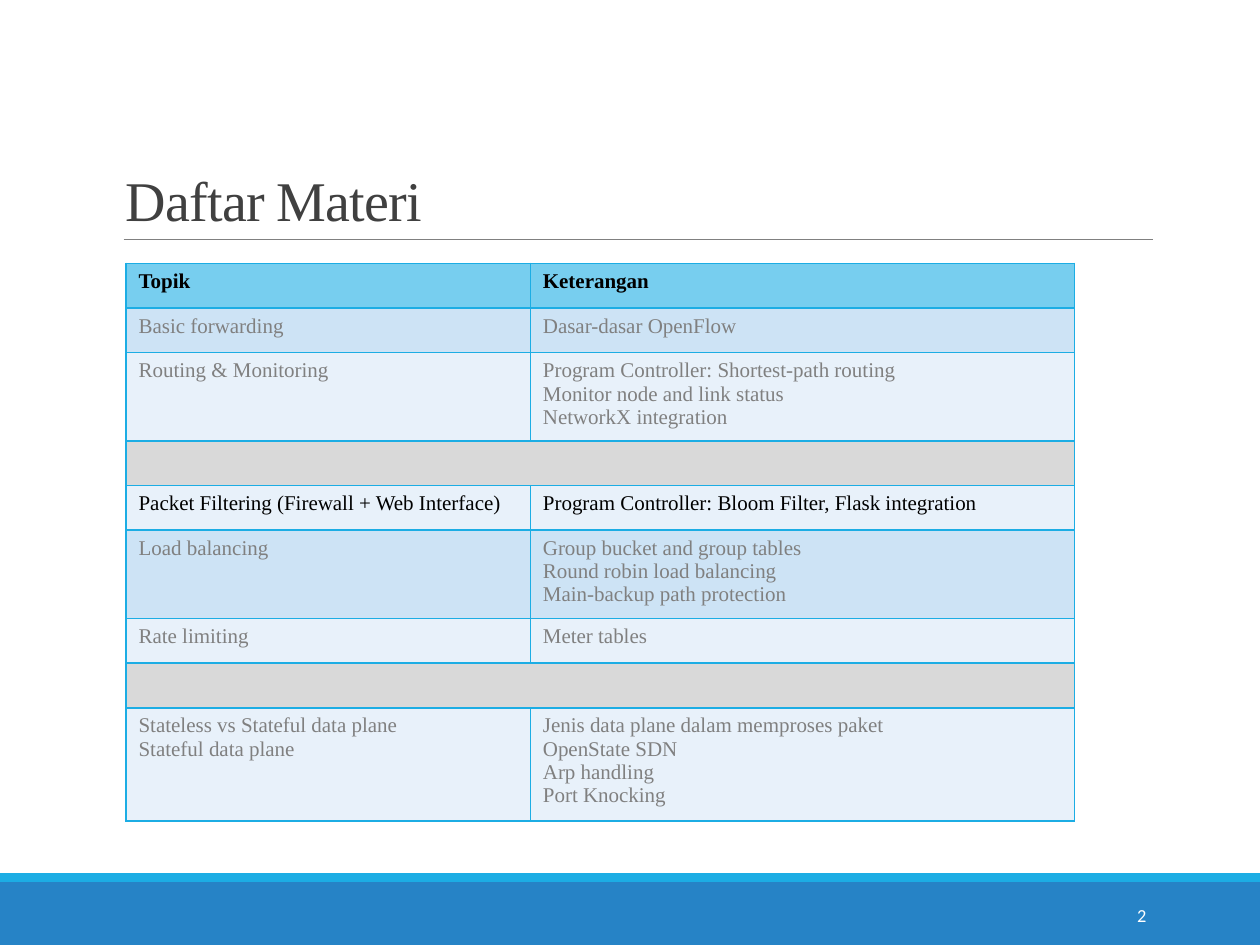
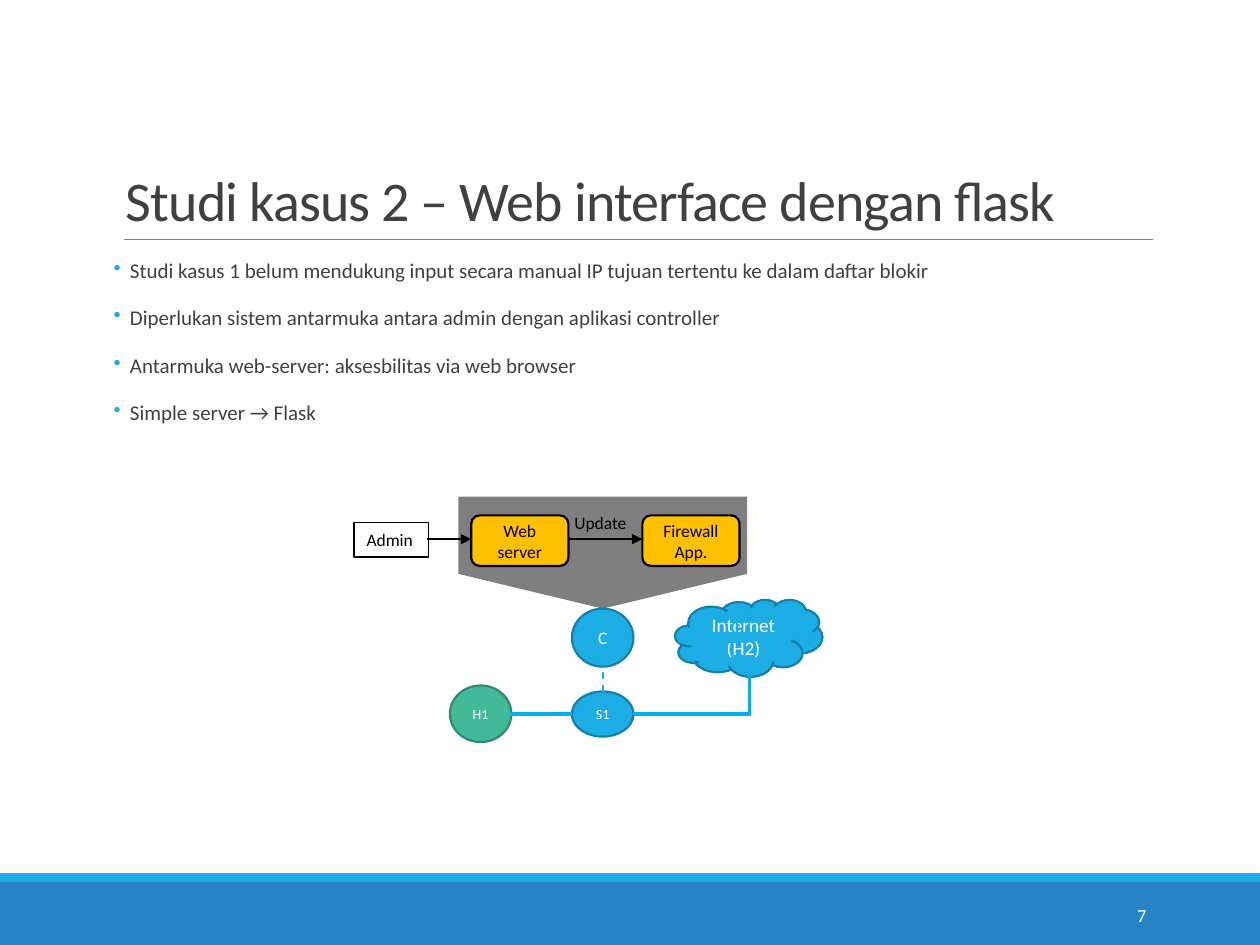
from lxml.etree import SubElement
from pptx import Presentation
from pptx.dml.color import RGBColor
from pptx.enum.dml import MSO_LINE as Dash
from pptx.enum.shapes import MSO_CONNECTOR as Link, MSO_SHAPE as Shape
from pptx.enum.text import MSO_ANCHOR as Anchor, PP_ALIGN as Align
from pptx.oxml.ns import qn
from pptx.util import Cm, Pt

COLORS = {
    "white": "FFFFFF", "black": "000000", "ink": "404040", "gray": "808080",
    "blue": "2683C6", "cyan": "1CADE4", "cyan_edge": "1580A9", "link": "00B0F0",
    "green": "42BA97", "green_edge": "318A70", "amber": "FFC000",
    "header": "77CEEF", "band": "CDE3F5", "pale": "E8F1FA", "gap": "D9D9D9",
}
SANS, SERIF = "Calibri", "Times New Roman"

TOPICS_TITLE = "Daftar Materi"
TOPICS = [
    (["Topik"], ["Keterangan"]),
    (["Basic forwarding"], ["Dasar-dasar OpenFlow"]),
    (["Routing & Monitoring"],
     ["Program Controller: Shortest-path routing", "Monitor node and link status",
      "NetworkX integration"]),
    None,
    (["Packet Filtering (Firewall + Web Interface)"],
     ["Program Controller: Bloom Filter, Flask integration"]),
    (["Load balancing"],
     ["Group bucket and group tables", "Round robin load balancing",
      "Main-backup path protection"]),
    (["Rate limiting"], ["Meter tables"]),
    None,
    (["Stateless vs Stateful data plane", "Stateful data plane"],
     ["Jenis data plane dalam memproses paket", "OpenState SDN", "Arp handling",
      "Port Knocking"]),
]
CURRENT_TOPIC = 4
COLUMN_WIDTHS, ROW_HEIGHT = (8.15, 10.97), 0.9

CASE_TITLE = "Studi kasus 2 – Web interface dengan flask"
CASE_POINTS = [
    "Studi kasus 1 belum mendukung input secara manual IP tujuan tertentu ke dalam daftar blokir",
    "Diperlukan sistem antarmuka antara admin dengan aplikasi controller",
    "Antarmuka web-server: aksesbilitas via web browser",
    "Simple server → Flask",
]
NETWORK_NODES = [
    (["H1"], Shape.OVAL, (9.07, 13.82, 1.24, 1.14), "green", 8),
    (["C"], Shape.OVAL, (11.53, 12.27, 1.24, 1.17), "cyan", 10),
    (["S1"], Shape.OVAL, (11.53, 13.94, 1.24, 0.91), "cyan", 8),
    (["Internet", "(H2)"], Shape.CLOUD, (13.61, 12.09, 2.97, 1.55), "cyan", 11),
]
APPS = [("Web server", 9.5), ("Firewall App.", 12.95)]
LINKS = [
    ((11.53, 14.4, 10.29, 14.4), dict(color="link", width=2.25)),
    ((12.15, 13.94, 12.15, 13.44), dict(color="cyan", dash=True)),
    ((12.77, 14.4, 15.11, 13.61), dict(color="link", width=2.25, bent=True)),
    ((13.67, 12.95, 14.86, 12.42), dict(color="cyan", bent=True)),
    ((8.61, 10.87, 9.5, 10.87), dict(arrow=True)),
    ((11.46, 10.87, 12.95, 10.87), dict(arrow=True)),
]


def rgb(name):
    return RGBColor.from_string(COLORS[name])


def write_text(frame, lines, *, size=12, font=SANS, color="black", bold=False,
               align=Align.LEFT, anchor=Anchor.TOP, wrap=True, spacing=None,
               before=None, after=None, tracking=None, bullet=None, indent=0.33):
    frame.word_wrap = wrap
    frame.vertical_anchor = anchor
    for index, line in enumerate(lines):
        para = frame.add_paragraph() if index else frame.paragraphs[0]
        para.alignment = align
        if spacing:
            para.line_spacing = spacing
        if before is not None:
            para.space_before, para.space_after = Pt(before), Pt(after)
        if bullet:
            properties = para._p.get_or_add_pPr()
            properties.set("marL", str(Cm(indent)))
            properties.set("indent", str(-Cm(indent)))
            tint = SubElement(properties, qn("a:buClr"))
            SubElement(tint, qn("a:srgbClr"), val=COLORS[bullet])
            SubElement(properties, qn("a:buChar"), char="•")
        span = para.add_run()
        span.text = line
        span.font.size, span.font.name, span.font.bold = Pt(size), font, bold
        span.font.color.rgb = rgb(color)
        if tracking:
            span._r.get_or_add_rPr().set("spc", str(int(tracking * 100)))


def add_text(page, area, lines, **style):
    box = page.shapes.add_textbox(*map(Cm, area))
    write_text(box.text_frame, lines, **style)
    return box


def add_box(page, kind, area, fill=None, edge=None, width=1.25):
    box = page.shapes.add_shape(kind, *map(Cm, area))
    box.shadow.inherit = False
    if fill:
        box.fill.solid()
        box.fill.fore_color.rgb = rgb(fill)
    else:
        box.fill.background()
    if edge:
        box.line.color.rgb = rgb(edge)
        box.line.width = Pt(width)
    else:
        box.line.fill.background()
    return box


def add_line(page, ends, color="black", width=1, dash=False, bent=False, arrow=False):
    kind = Link.ELBOW if bent else Link.STRAIGHT
    line = page.shapes.add_connector(kind, *map(Cm, ends))
    line.line.color.rgb = rgb(color)
    line.line.width = Pt(width)
    properties = line._element.spPr
    if dash:
        line.line.dash_style = Dash.DASH
    if bent:
        properties.find(qn("a:prstGeom")).set("prst", "bentConnector2")
    if arrow:
        SubElement(properties.find(qn("a:ln")), qn("a:tailEnd"), type="triangle")
    SubElement(properties, qn("a:effectLst"))


def add_page(deck, title, number, font):
    page = deck.slides.add_slide(deck.slide_layouts[6])
    add_box(page, Shape.RECTANGLE, (0, 17.78, 25.4, 1.27), "blue")
    add_box(page, Shape.RECTANGLE, (0, 17.6, 25.4, 0.18), "cyan")
    add_line(page, (2.49, 4.83, 23.24, 4.83), "gray", 0.5)
    add_text(page, (2.29, 0.79, 20.96, 4.04), [title], size=32, font=font, color="ink",
             anchor=Anchor.BOTTOM, spacing=0.85, tracking=-0.5)
    add_text(page, (20.62, 17.93, 2.74, 1.02), [str(number)], size=10.5, color="white",
             align=Align.RIGHT, anchor=Anchor.MIDDLE)
    return page


def style_cell(cell, fill):
    properties = cell._tc.get_or_add_tcPr()
    for side in ("lnL", "lnR", "lnT", "lnB"):
        border = SubElement(properties, qn(f"a:{side}"), w=str(Pt(1)))
        paint = SubElement(border, qn("a:solidFill"))
        SubElement(paint, qn("a:srgbClr"), val=COLORS["cyan"])
    cell.fill.solid()
    cell.fill.fore_color.rgb = rgb(fill)


def add_topics(page):
    area = (2.54, 5.31, sum(COLUMN_WIDTHS), ROW_HEIGHT * len(TOPICS))
    table = page.shapes.add_table(len(TOPICS), 2, *map(Cm, area)).table
    for column, width in zip(table.columns, COLUMN_WIDTHS):
        column.width = Cm(width)
    for index, topic in enumerate(TOPICS):
        table.rows[index].height = Cm(ROW_HEIGHT)
        cells = [table.cell(index, column) for column in range(2)]
        header = index == 0
        if topic is None:
            fill = "gap"
            cells[0].merge(cells[1])
            for cell in cells:
                SubElement(cell.text_frame.paragraphs[0]._p, qn("a:endParaRPr"), sz="1200")
        else:
            fill = "header" if header else "band" if index % 2 else "pale"
            color = "black" if header or index == CURRENT_TOPIC else "gray"
            for cell, lines in zip(cells, topic):
                write_text(cell.text_frame, lines, font=SERIF, color=color, bold=header)
        for cell in cells:
            style_cell(cell, fill)


def add_diagram(page):
    panel = add_box(page, Shape.PENTAGON, (11.02, 8.23, 2.26, 5.82), "black")
    panel.rotation = 90
    panel.adjustments[0] = 0.31
    paint = panel._element.spPr.find(qn("a:solidFill"))
    SubElement(paint[0], qn("a:alpha"), val="50000")
    centered = dict(align=Align.CENTER, anchor=Anchor.MIDDLE)
    for lines, kind, area, fill, size in NETWORK_NODES:
        node = add_box(page, kind, area, fill, fill + "_edge")
        write_text(node.text_frame, lines, size=size, color="white", wrap=False, **centered)
    for name, left in APPS:
        app = add_box(page, Shape.ROUNDED_RECTANGLE, (left, 10.39, 1.96, 1.02), "amber", "black")
        write_text(app.text_frame, [name], size=10, **centered)
    admin = add_box(page, Shape.RECTANGLE, (7.14, 10.54, 1.5, 0.69), None, "black", 0.75)
    write_text(admin.text_frame, ["Admin"], size=10, wrap=False)
    for ends, style in LINKS:
        add_line(page, ends, **style)
    add_text(page, (11.33, 10.19, 1.68, 0.69), ["Update"], size=10, wrap=False)


def main():
    deck = Presentation()
    deck.slide_width, deck.slide_height = Cm(25.4), Cm(19.05)
    add_topics(add_page(deck, TOPICS_TITLE, 2, SERIF))
    page = add_page(deck, CASE_TITLE, 7, SANS)
    body = add_text(page, (2.29, 5.13, 20.96, 11.18), CASE_POINTS, color="ink",
                    spacing=0.9, before=12, after=2, bullet="cyan")
    body.text_frame.margin_left = body.text_frame.margin_right = 0
    add_diagram(page)
    deck.save("out.pptx")


if __name__ == "__main__":
    main()
